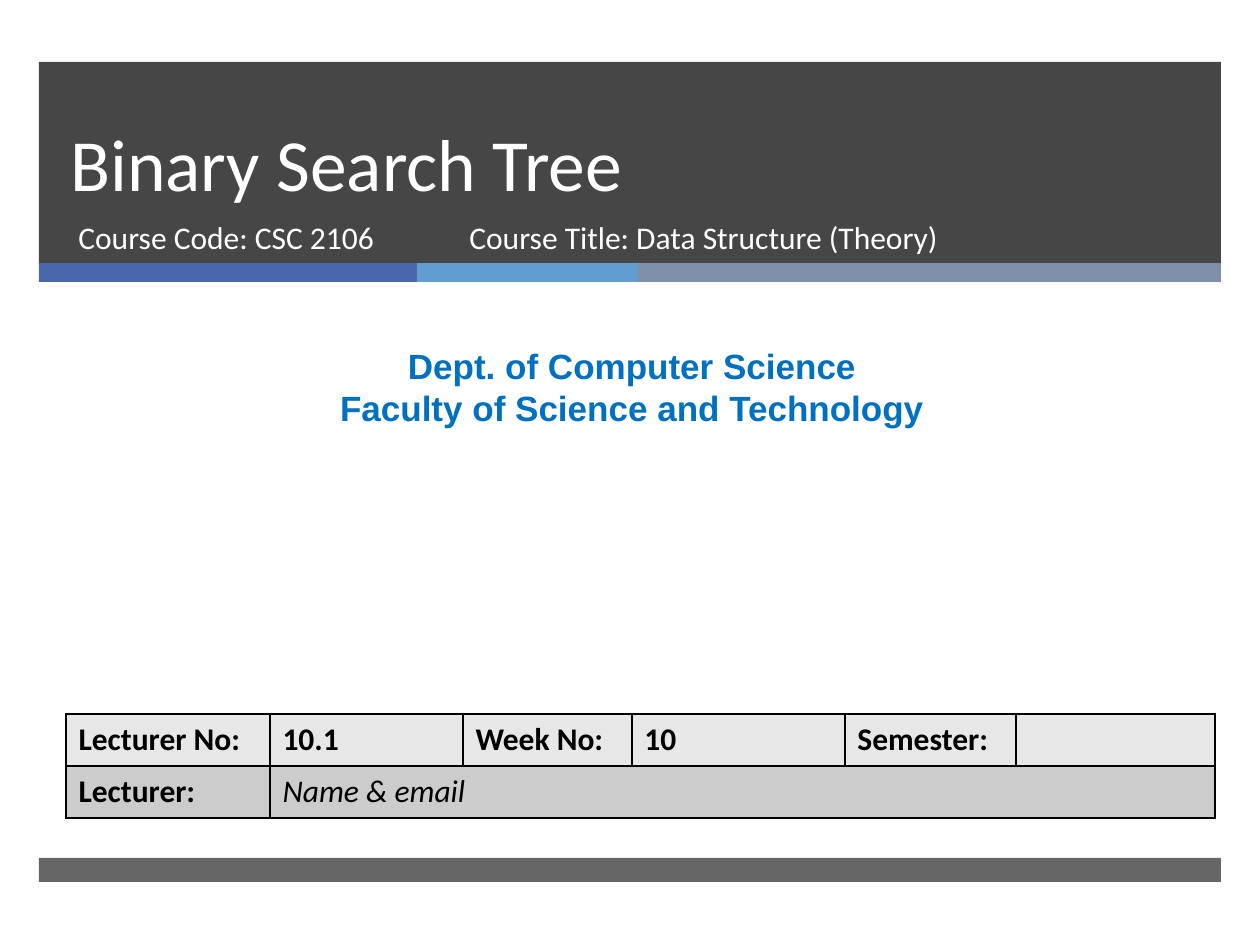
from lxml.etree import SubElement
from pptx import Presentation
from pptx.dml.color import RGBColor
from pptx.enum.shapes import MSO_SHAPE as Shape
from pptx.enum.text import MSO_ANCHOR as Anchor, PP_ALIGN as Align
from pptx.oxml.ns import qn
from pptx.util import Pt

PIXEL = 914400 // 126
BLACK, WHITE, CHARCOAL, BLUE = "000000", "FFFFFF", "262626", "0070C0"


def px(*lengths):
    return [length * PIXEL for length in lengths]


def paint(fill, color):
    fill.solid()
    fill.fore_color.rgb = RGBColor.from_string(color)


def add_bar(slide, box, color, opacity=100):
    bar = slide.shapes.add_shape(Shape.RECTANGLE, *px(*box))
    bar.shadow.inherit = False
    bar.line.fill.background()
    paint(bar.fill, color)
    if opacity < 100:
        tint = bar.fill._xPr.find(qn("a:solidFill"))[0]
        SubElement(tint, qn("a:alpha"), val=str(opacity * 1000))


def add_run(paragraph, words, size, color, font="Calibri", bold=False, italic=False):
    run = paragraph.add_run()
    run.text = words
    run.font.size = Pt(size)
    run.font.name = font
    run.font.bold = bold
    run.font.italic = italic
    run.font.color.rgb = RGBColor.from_string(color)


def add_text(slide, box, lines, size, color, align=Align.LEFT,
             anchor=Anchor.TOP, spacing=None, **style):
    frame = slide.shapes.add_textbox(*px(*box)).text_frame
    frame.word_wrap = True
    frame.vertical_anchor = anchor
    for index, words in enumerate(lines):
        paragraph = frame.add_paragraph() if index else frame.paragraphs[0]
        paragraph.alignment = align
        paragraph.line_spacing = spacing
        add_run(paragraph, words, size, color, **style)


def add_borders(cell):
    properties = cell._tc.get_or_add_tcPr()
    for position, side in enumerate(("lnL", "lnR", "lnT", "lnB")):
        border = SubElement(properties, qn(f"a:{side}"), w=str(Pt(1)))
        properties.insert(position, border)
        ink = SubElement(border, qn("a:solidFill"))
        SubElement(ink, qn("a:srgbClr"), val=BLACK)


def add_details(slide, left, top, widths, height, rows, fills):
    details = slide.shapes.add_table(
        len(rows), len(widths), *px(left, top, sum(widths), height * len(rows))).table
    for column, width in zip(details.columns, px(*widths)):
        column.width = width
    for r, (row, fill) in enumerate(zip(rows, fills)):
        details.rows[r].height = height * PIXEL
        for c in range(len(widths)):
            cell = details.cell(r, c)
            paint(cell.fill, fill)
            add_borders(cell)
            if c < len(row) and row[c]:
                hint = row[c] == "Name & email"
                add_run(cell.text_frame.paragraphs[0], row[c], 18, BLACK,
                        bold=not hint, italic=hint)
    details.cell(1, 1).merge(details.cell(1, len(widths) - 1))


def main():
    deck = Presentation()
    deck.slide_width, deck.slide_height = px(1260, 945)
    slide = deck.slides.add_slide(deck.slide_layouts[6])

    add_bar(slide, (39, 62, 1182, 202), CHARCOAL, 85)
    stripe_left = 39
    for width, color in ((378, "4A66AC"), (221, "629DD1"), (583, "7F8FA9")):
        add_bar(slide, (stripe_left, 263, width, 19), color)
        stripe_left += width
    add_bar(slide, (39, 858, 1182, 24), CHARCOAL, 70)

    add_text(slide, (58, 62, 1076, 150), ["Binary Search Tree"], 42, WHITE,
             anchor=Anchor.BOTTOM, spacing=Pt(46))
    add_text(slide, (66, 212, 384, 67), ["Course Code: CSC 2106"], 18, WHITE)
    add_text(slide, (457, 212, 573, 67),
             ["Course Title: Data Structure (Theory)"], 18, WHITE)
    add_text(slide, (10, 338, 1244, 97),
             ["Dept. of Computer Science", "Faculty of Science and Technology"],
             20, BLUE, align=Align.CENTER, font="Arial", bold=True)

    add_details(slide, 66, 714, (204, 193, 169, 213, 171, 199), 52,
                [("Lecturer No:", "10.1", "Week No:", "10", "Semester:", ""),
                 ("Lecturer:", "Name & email")],
                ("E7E7E7", "CCCCCC"))
    deck.save("out.pptx")


main()
